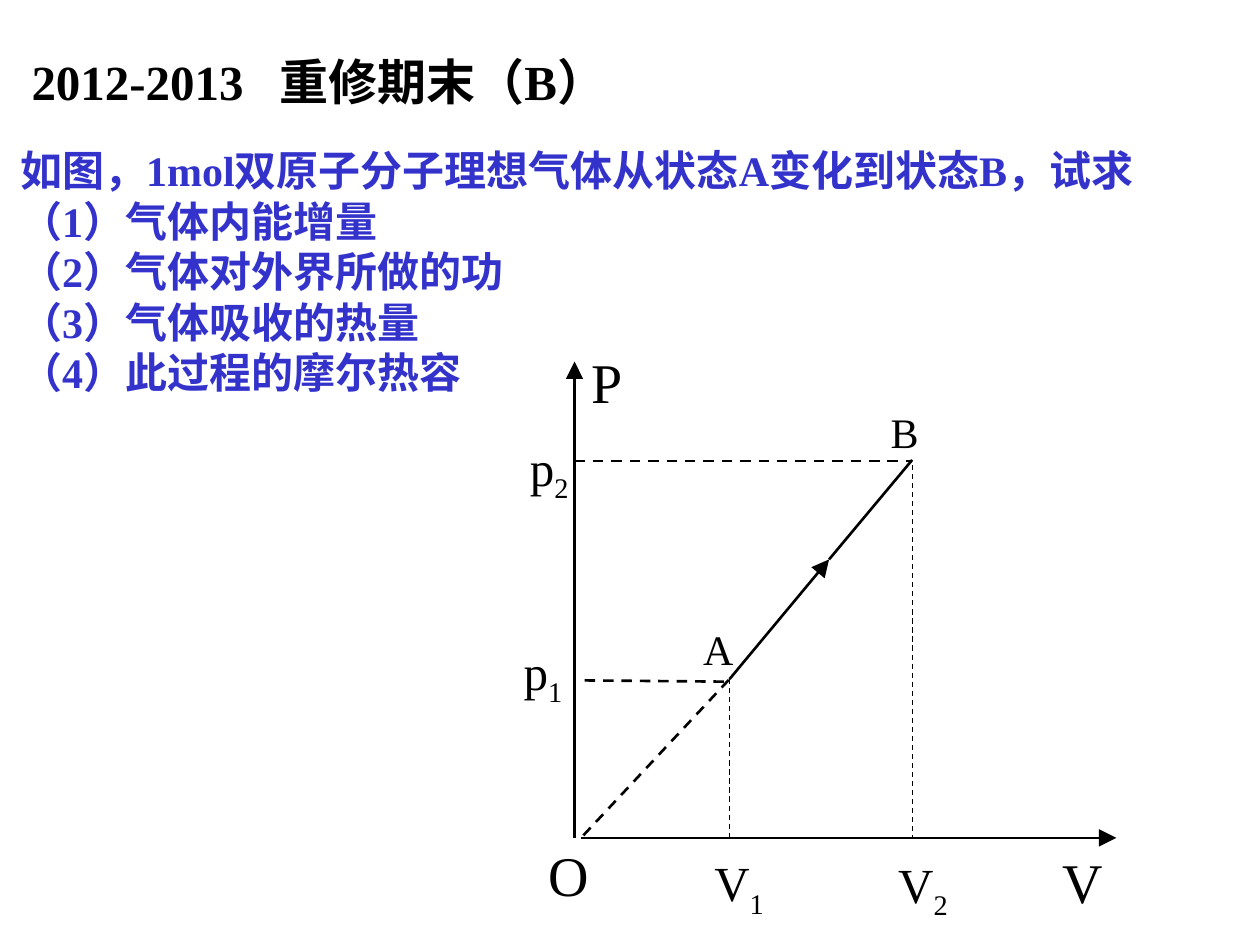
import pptx
import pptx.util
import pptx.dml.color
import pptx.enum.dml
import pptx.enum.shapes
import pptx.enum.text
import pptx.oxml.ns
from lxml import etree

SCALE = 9144


def px(length):
    return pptx.util.Emu(length * SCALE)


def colour(code):
    return pptx.dml.color.RGBColor.from_string(code)


def add_element(parent, tag, **attributes):
    return etree.SubElement(parent, pptx.oxml.ns.qn(tag), attributes)


def add_span(para, text, *, size, font, ink, bold=False, baseline=0):
    span = para.add_run()
    span.text = text
    span.font.size = pptx.util.Pt(size)
    span.font.name = font
    span.font.bold = bold
    span.font.color.rgb = colour(ink)
    if baseline:
        span._r.get_or_add_rPr().set("baseline", str(baseline))


class DiagramPage:
    font = "Times New Roman"
    black = "000000"
    blue = "3333CC"

    def __init__(self, deck):
        self.page = deck.slides.add_slide(deck.slide_layouts[1])

    def set_frame(self, box, left_margin=0):
        frame = box.text_frame
        frame.word_wrap = False
        frame.auto_size = pptx.enum.text.MSO_AUTO_SIZE.SHAPE_TO_FIT_TEXT
        frame.vertical_anchor = pptx.enum.text.MSO_ANCHOR.TOP
        frame.margin_left = px(left_margin)
        frame.margin_right = px(0)
        return frame

    def place(self, box, left, top, width, height):
        box.left, box.top, box.width, box.height = map(px, (left, top, width, height))
        return self.set_frame(box, left_margin=10)

    def title(self, text, bounds, tab):
        para = self.place(self.page.shapes.title, *bounds).paragraphs[0]
        tabs = add_element(para._p.get_or_add_pPr(), "a:tabLst")
        add_element(tabs, "a:tab", pos=str(px(tab)), algn="l")
        para.alignment = pptx.enum.text.PP_ALIGN.LEFT
        add_span(para, text, size=28, font=self.font, ink=self.black, bold=True)

    def body(self, lines, bounds):
        frame = self.place(self.page.placeholders[1], *bounds)
        for index, text in enumerate(lines):
            para = frame.add_paragraph() if index else frame.paragraphs[0]
            properties = para._p.get_or_add_pPr()
            properties.set("marL", "0")
            properties.set("indent", "0")
            add_element(properties, "a:buNone")
            para.space_before = pptx.util.Pt(0)
            add_span(para, text, size=24, font=self.font, ink=self.blue, bold=True)

    def label(self, text, bounds, size, subscript=""):
        box = self.page.shapes.add_textbox(*map(px, bounds))
        para = self.set_frame(box).paragraphs[0]
        para.alignment = pptx.enum.text.PP_ALIGN.CENTER
        add_span(para, text, size=size, font=self.font, ink=self.black)
        if subscript:
            add_span(para, subscript, size=size, font=self.font, ink=self.black, baseline=-25000)

    def line(self, start, end, width=1.5, dashed=False, arrow=False):
        connector = self.page.shapes.add_connector(
            pptx.enum.shapes.MSO_CONNECTOR.STRAIGHT, *map(px, start + end))
        add_element(connector._element.spPr, "a:effectLst")
        connector.line.width = pptx.util.Pt(width)
        connector.line.color.rgb = colour(self.black)
        if dashed:
            connector.line.dash_style = pptx.enum.dml.MSO_LINE.DASH
        if arrow:
            add_element(connector.line._get_or_add_ln(), "a:tailEnd",
                        type="triangle", w="lg", len="lg")


def main():
    deck = pptx.Presentation()
    deck.slide_width, deck.slide_height = px(1000), px(750)
    diagram = DiagramPage(deck)

    diagram.title("2012-2013\t重修期末（B）", (15, 36, 494, 57), tab=197)
    diagram.body([
        "如图，1mol双原子分子理想气体从状态A变化到状态B，试求",
        "（1）气体内能增量",
        "（2）气体对外界所做的功",
        "（3）气体吸收的热量",
        "（4）此过程的摩尔热容",
    ], (6, 110, 951, 210))

    axis_x, axis_y = 456, 665
    state_a, midpoint, state_b = (579, 539), (658, 444), (724, 365)
    diagram.line((461, axis_y), (886, axis_y), arrow=True)
    diagram.line((axis_x, axis_y), (axis_x, 287), arrow=True)
    diagram.line(state_a, midpoint, arrow=True)
    diagram.line(midpoint, state_b)
    diagram.line((463, 663), state_a, dashed=True)
    diagram.line((464, 540), (575, 541), dashed=True)
    diagram.line((axis_x, 366), (state_b[0], 366), dashed=True)
    for x, y in (state_a, (state_b[0], 369)):
        diagram.line((x, y), (x, axis_y), width=0.75, dashed=True)

    for text, left, top, width in (("O", 425, 662, 52), ("V", 833, 668, 52), ("P", 459, 271, 45)):
        diagram.label(text, (left, top, width, 64), 32)
    for text, left, top, width in (("A", 548, 490, 44), ("B", 697, 318, 42)):
        diagram.label(text, (left, top, width, 50), 24)
    for text, subscript, left, top, width in (
        ("p", "1", 406, 504, 50),
        ("p", "2", 411, 342, 50),
        ("V", "1", 557, 672, 59),
        ("V", "2", 703, 673, 59),
    ):
        diagram.label(text, (left, top, width, 63), 28, subscript)

    deck.save("out.pptx")


if __name__ == "__main__":
    main()
